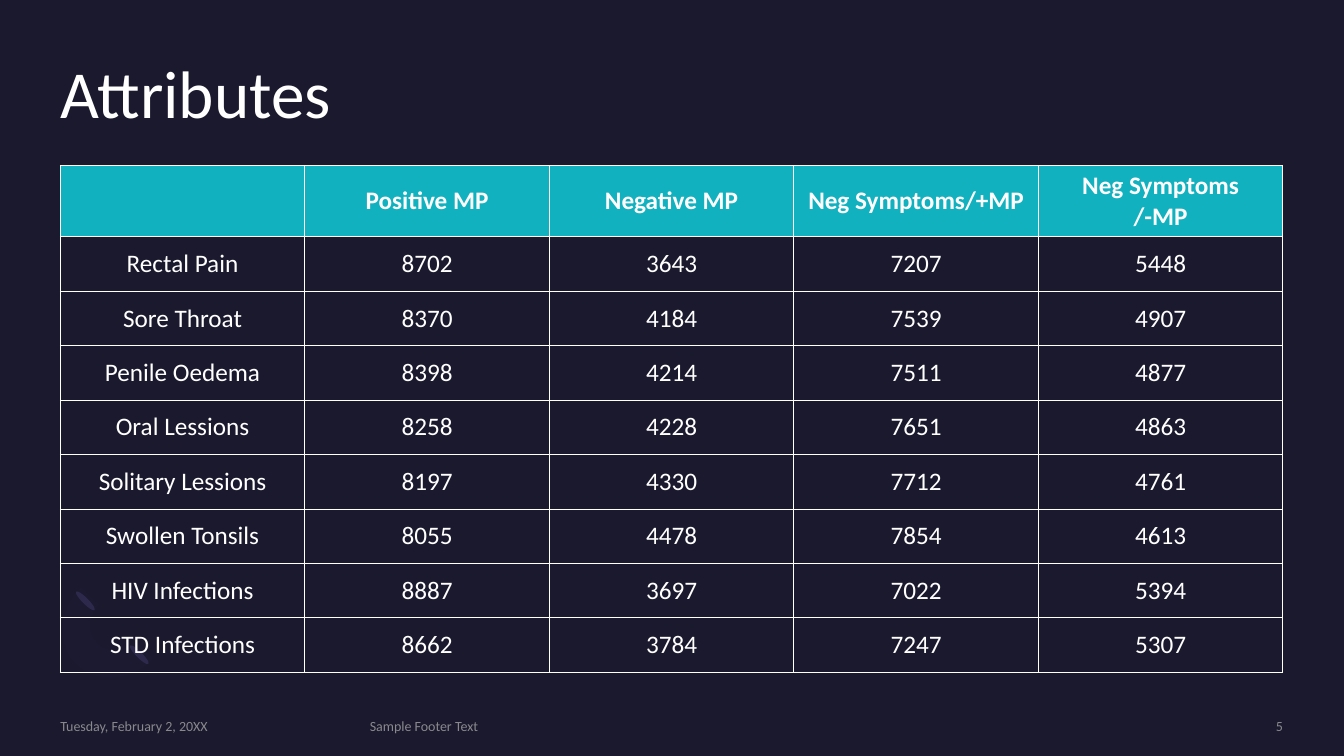
from collections import namedtuple
from math import cos, pi, sin, sqrt

from lxml.etree import SubElement
from pptx import Presentation
from pptx.dml.color import RGBColor
from pptx.enum.shapes import MSO_SHAPE as Shape
from pptx.enum.text import MSO_ANCHOR as Anchor, PP_ALIGN as Align
from pptx.oxml.ns import qn
from pptx.util import Cm, Pt

NIGHT = RGBColor(0x1B, 0x19, 0x2E)
INDIGO = RGBColor(0x2C, 0x28, 0x4A)
LILAC = RGBColor(0x77, 0x71, 0xB2)
TEAL = RGBColor(0x12, 0xB1, 0xBF)
WHITE = RGBColor(0xFF, 0xFF, 0xFF)
GREY = RGBColor(0xA6, 0xA6, 0xA6)

TITLE_FONT = {"name": "Calibri", "size": Pt(48)}
HEADER_FONT = {"name": "Calibri", "size": Pt(18), "bold": True}
BODY_FONT = {"name": "Calibri", "size": Pt(18), "bold": False}
FOOTER_FONT = {"name": "Calibri", "size": Pt(10)}

Box = namedtuple("Box", "left top width height")
HEADER_HEIGHT = 1.8

HEADERS = ["", "Positive MP", "Negative MP", "Neg Symptoms/+MP", "Neg Symptoms\n/-MP"]
SYMPTOMS = [
    ("Rectal Pain", 8702, 3643, 7207, 5448),
    ("Sore Throat", 8370, 4184, 7539, 4907),
    ("Penile Oedema", 8398, 4214, 7511, 4877),
    ("Oral Lessions", 8258, 4228, 7651, 4863),
    ("Solitary Lessions", 8197, 4330, 7712, 4761),
    ("Swollen Tonsils", 8055, 4478, 7854, 4613),
    ("HIV Infections", 8887, 3697, 7022, 5394),
    ("STD Infections", 8662, 3784, 7247, 5307),
]
FOOTERS = [
    (0, 7.32, "Tuesday, February 2, 20XX", Align.LEFT),
    (7.8, 17.73, "Sample Footer Text", Align.LEFT),
    (26.11, 4.7, "5", Align.RIGHT),
]


def set_font(font, values, color):
    """Apply a dict of format values and a colour to a font."""
    for name, value in values.items():
        setattr(font, name, value)
    font.color.rgb = color


def set_opacity(fill_parent, percent):
    """Make the solid fill below an element partly transparent."""
    color = fill_parent.find(".//" + qn("a:srgbClr"))
    SubElement(color, qn("a:alpha"), val=str(percent * 1000))


def paint(shape, color):
    """Fill a shape plainly, with no line and no shadow."""
    shape.shadow.inherit = False
    shape.fill.solid()
    shape.fill.fore_color.rgb = color
    shape.line.fill.background()


def add_text(page, box, text, values, color, align=Align.LEFT, anchor=Anchor.TOP):
    """Add a one-paragraph text box without margins and return its run."""
    frame = page.shapes.add_textbox(*map(Cm, box)).text_frame
    frame.word_wrap = True
    frame.vertical_anchor = anchor
    for side in ("left", "top", "right", "bottom"):
        setattr(frame, f"margin_{side}", 0)
    para = frame.paragraphs[0]
    para.alignment = align
    span = para.add_run()
    span.text = text
    set_font(span.font, values, color)
    return span


def add_bowl(page, box):
    """Draw the tilted half ring and its two end discs, centred in a box."""
    center_x, center_y = box.left + box.width / 2, box.top + box.height / 2

    def tilt(along, across):
        return (Cm(center_x + (along - across) / sqrt(2)),
                Cm(center_y + (along + across) / sqrt(2)))

    disc_width, disc_height = Cm(0.15), Cm(0.66)
    for along in (0.96, -0.96):
        x, y = tilt(along, 0.17)
        disc = page.shapes.add_shape(Shape.OVAL, x - disc_width // 2,
                                     y - disc_height // 2, disc_width, disc_height)
        disc.rotation = 135
        paint(disc, INDIGO)

    angles = [pi * step / 24 for step in range(25)]
    outer = [tilt(1.28 * cos(angle), 1.46 * sin(angle)) for angle in angles]
    inner = [tilt(0.65 * cos(angle), 0.72 * sin(angle)) for angle in reversed(angles)]
    builder = page.shapes.build_freeform(*outer[0])
    builder.add_line_segments(outer[1:] + inner, close=True)
    ring = builder.convert_to_shape()
    paint(ring, LILAC)
    set_opacity(ring.fill._xPr, 2)


def add_borders(cell):
    """Give a cell thin white lines on all four sides."""
    properties = cell._tc.get_or_add_tcPr()
    for side in "LRTB":
        line = SubElement(properties, qn(f"a:ln{side}"), w=str(Pt(0.75)))
        fill = SubElement(line, qn("a:solidFill"))
        SubElement(fill, qn("a:srgbClr"), val=str(WHITE))


def add_symptom_table(page, box):
    """Fill a box with the table of symptom counts."""
    rows = [HEADERS, *SYMPTOMS]
    table = page.shapes.add_table(len(rows), len(HEADERS), *map(Cm, box)).table
    table.horz_banding = False
    for column in table.columns:
        column.width = Cm(box.width / len(HEADERS))
    for row in table.rows:
        row.height = Cm((box.height - HEADER_HEIGHT) / len(SYMPTOMS))
    table.rows[0].height = Cm(HEADER_HEIGHT)
    for row_index, values in enumerate(rows):
        for column_index, value in enumerate(values):
            cell = table.cell(row_index, column_index)
            add_borders(cell)
            if row_index == 0:
                cell.fill.solid()
                cell.fill.fore_color.rgb = TEAL
            else:
                cell.fill.background()
            cell.vertical_anchor = Anchor.MIDDLE
            cell.text = str(value)
            for para in cell.text_frame.paragraphs:
                para.alignment = Align.CENTER
                set_font(para.font, BODY_FONT if row_index else HEADER_FONT, WHITE)
                for span in para.runs:
                    set_font(span.font, BODY_FONT if row_index else HEADER_FONT, WHITE)


def add_footer(page, box):
    """Place date, footer text and page number along a box."""
    for offset, width, text, align in FOOTERS:
        part = Box(box.left + offset, box.top, width, box.height)
        span = add_text(page, part, text, FOOTER_FONT, GREY, align, Anchor.MIDDLE)
        set_opacity(span.font._element, 80)


def main():
    """Build the deck and save it."""
    deck = Presentation()
    deck.slide_width, deck.slide_height = Cm(33.87), Cm(19.05)
    page = deck.slides.add_slide(deck.slide_layouts[6])
    page.background.fill.solid()
    page.background.fill.fore_color.rgb = NIGHT
    add_bowl(page, Box(1.47, 14.78, 2.96, 1.84))
    title = add_text(page, Box(1.52, 1.52, 30.81, 3.71), "Attributes", TITLE_FONT, WHITE)
    title_para = page.shapes[-1].text_frame.paragraphs[0]
    title_para.line_spacing = 0.9
    add_symptom_table(page, Box(1.52, 4.17, 30.81, 12.77))
    add_footer(page, Box(1.52, 18.08, 30.81, 0.43))
    deck.save("out.pptx")


if __name__ == "__main__":
    main()
